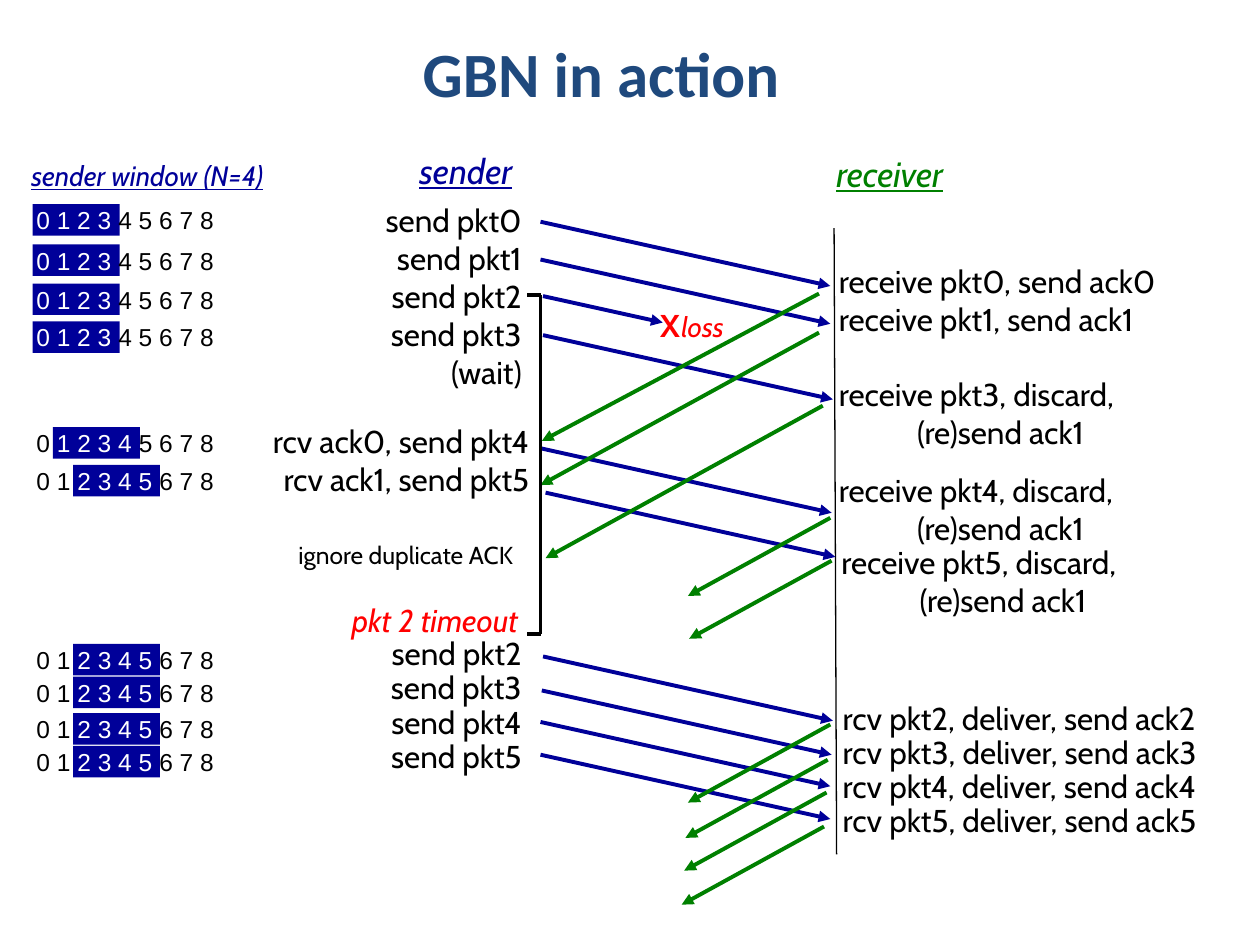
from lxml import etree
from pptx import Presentation
from pptx.dml.color import RGBColor
from pptx.enum import shapes, text
from pptx.oxml.ns import qn
from pptx.util import Inches, Pt

COLORS = {
    "title": "1F497D", "packet": "000099", "ack": "008000",
    "loss": "FF0000", "ink": "000000", "in_window": "FFFFFF",
}
LEFT, CENTER, RIGHT = text.PP_ALIGN.LEFT, text.PP_ALIGN.CENTER, text.PP_ALIGN.RIGHT

deck = Presentation()
deck.slide_width, deck.slide_height = Inches(10), Inches(7.5)
slide = deck.slides.add_slide(deck.slide_layouts[6])


def add_label(lines, left, top, width, height, size=18, color="ink", align=LEFT,
              font="Cabin", bold=None, italic=None, underline=None, spacing=None):
    box = slide.shapes.add_textbox(Inches(left), Inches(top), Inches(width), Inches(height))
    frame = box.text_frame
    frame.word_wrap = True
    frame.text = "\n".join(lines)
    for paragraph in frame.paragraphs:
        paragraph.alignment = align
        paragraph.line_spacing = spacing
        for run in paragraph.runs:
            run.font.name, run.font.size = font, Pt(size)
            run.font.bold, run.font.italic, run.font.underline = bold, italic, underline
            run.font.color.rgb = RGBColor.from_string(COLORS[color])
    return frame


def add_line(x1, y1, x2, y2, color="ink", width=2.25, arrow=False):
    line = slide.shapes.add_connector(
        shapes.MSO_CONNECTOR.STRAIGHT, Inches(x1), Inches(y1), Inches(x2), Inches(y2))
    line.line.color.rgb = RGBColor.from_string(COLORS[color])
    line.line.width = Pt(width)
    if arrow:
        etree.SubElement(line.line._get_or_add_ln(), qn("a:tailEnd"), type="triangle")
    etree.SubElement(line._element.spPr, qn("a:effectLst"))


title = add_label(["GBN in action"], 0.52, 0.22, 8.5, 0.71, size=36, color="title",
                  align=CENTER, font="Calibri", bold=True)
title.vertical_anchor = text.MSO_ANCHOR.MIDDLE

add_label(["sender window (N=4)"], 0.15, 1.21, 2.35, 0.37, 16, "packet", italic=True, underline=True)
add_label(["sender"], 3.23, 1.14, 1.02, 0.43, 20, "packet", italic=True, underline=True)
add_label(["receiver"], 6.54, 1.16, 1.17, 0.43, 20, "ack", italic=True, underline=True)

add_label([f"send pkt{n}" for n in range(4)] + ["(wait)"], 2.88, 1.55, 1.36, 1.6, align=RIGHT)
add_label([f"rcv ack{n}, send pkt{n + 4}" for n in range(2)], 1.94, 3.3, 2.36, 1, align=RIGHT)
add_label(["ignore duplicate ACK"], 2.27, 4.24, 1.98, 0.33, size=14)
add_label(["pkt 2 timeout"], 2.53, 4.79, 1.68, 0.33, color="loss", align=RIGHT,
          italic=True, spacing=0.75)
add_label([f"send pkt{n}" for n in range(2, 6)], 2.88, 5.02, 1.36, 1.18, align=RIGHT, spacing=0.9)

resend = "(re)send ack1"
received = add_label(
    ["receive pkt0, send ack0", "receive pkt1, send ack1", "receive pkt3, discard,", resend],
    6.56, 2.03, 2.81, 1.6)
received.paragraphs[2].space_before = Pt(21.6)
discarded_4 = add_label(["receive pkt4, discard,", resend], 6.56, 3.69, 2.64, 0.7)
discarded_5 = add_label(["receive pkt5, discard,", resend], 6.58, 4.26, 2.64, 0.7)
for reply in (received, discarded_4, discarded_5):
    reply.paragraphs[-1]._p.get_or_add_pPr().set("marL", str(Inches(0.62)))
add_label([f"rcv pkt{n}, deliver, send ack{n}" for n in range(2, 6)],
          6.59, 5.53, 3.24, 1.18, spacing=0.9)

add_line(6.62, 1.81, 6.64, 6.78, width=0.75)

packet_starts = [
    (4.29, 1.76), (4.29, 2.06), (4.31, 2.66), (4.3, 3.56), (4.33, 3.91),
    (4.31, 5.21), (4.3, 5.48), (4.29, 5.73), (4.29, 5.99),
]
for x, y in packet_starts:
    add_line(x, y, x + 2.3, y + 0.51, "packet", arrow=True)
add_line(4.31, 2.35, 5.26, 2.56, "packet", arrow=True)
add_label(["X"], 5.14, 2.38, 0.37, 0.4, color="loss", bold=True)
add_label(["loss"], 5.31, 2.41, 0.57, 0.37, 16, "loss", italic=True)

arriving_acks = [(6.5, 2.33, 4.3, 3.5), (6.5, 2.64, 4.29, 3.85), (6.53, 3.22, 4.33, 4.43)]
for ends in arriving_acks:
    add_line(*ends, "ack", arrow=True)
pending_ack_starts = [
    (6.59, 4.11), (6.6, 4.45), (6.59, 5.75), (6.57, 6.03), (6.56, 6.29), (6.54, 6.56),
]
for x, y in pending_ack_starts:
    add_line(x, y, x - 1.13, y + 0.62, "ack", arrow=True)

timeout_x, timeout_start, timeout_end = 4.29, 2.34, 5.03
add_line(timeout_x, timeout_start, timeout_x, timeout_end)
for y in (timeout_start, timeout_end):
    add_line(timeout_x, y, timeout_x - 0.11, y)

windows = [
    (0, 1.62), (0, 1.94), (0, 2.25), (0, 2.55), (1, 3.39),
    (2, 3.69), (2, 5.11), (2, 5.37), (2, 5.66), (2, 5.92),
]
for base, top in windows:
    window = slide.shapes.add_shape(
        shapes.MSO_SHAPE.RECTANGLE, Inches(0.26 + 0.16 * base), Inches(top),
        Inches(0.69), Inches(0.25))
    window.shadow.inherit = False
    window.fill.solid()
    window.fill.fore_color.rgb = RGBColor.from_string(COLORS["packet"])
    window.line.fill.background()
    sequence = add_label([""], 0.19, top - 0.04, 1.65, 0.33).paragraphs[0]
    for n in range(9):
        digit = sequence.add_run()
        digit.text = f"{n} " if n < 8 else f"{n}"
        digit.font.name, digit.font.size = "Arial", Pt(14)
        shade = "in_window" if base <= n < base + 4 else "ink"
        digit.font.color.rgb = RGBColor.from_string(COLORS[shade])

deck.save("out.pptx")
